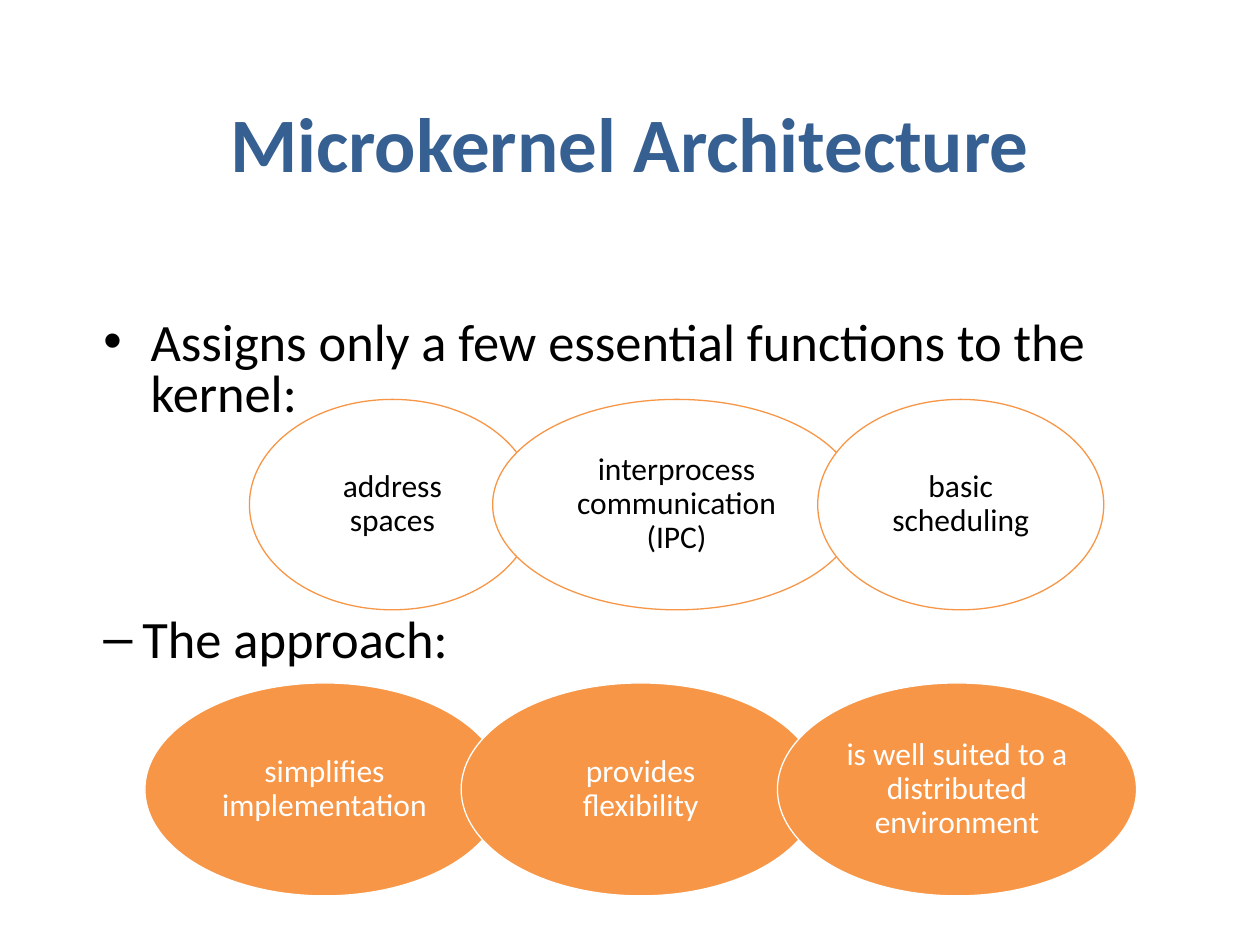
from pptx import Presentation
from pptx.dml.color import RGBColor
from pptx.enum.shapes import MSO_SHAPE
from pptx.enum.text import MSO_ANCHOR, MSO_AUTO_SIZE, PP_ALIGN
from pptx.util import Inches, Pt

COLORS = {"title": "376092", "text": "000000", "accent": "F79646", "white": "FFFFFF"}
FONT = "Calibri"
OVERLAP = 0.34

FUNCTIONS = [("address spaces", 2.27), ("interprocess communication (IPC)", 2.92),
             ("basic scheduling", 2.27)]
BENEFITS = [("simplifies implementation", 2.85), ("provides flexibility", 2.85),
            ("is well suited to a distributed environment", 2.85)]


def rgb(color):
    return RGBColor.from_string(COLORS[color])


def apply_format(target, values):
    for attribute, value in values.items():
        setattr(target, attribute, value)


def place(element, left, top, width, height):
    apply_format(element, {"left": Inches(left), "top": Inches(top),
                           "width": Inches(width), "height": Inches(height)})


def write(paragraph, text, size, color, bold=False, **layout):
    run = paragraph.add_run()
    run.text = text
    apply_format(run.font, {"name": FONT, "size": Pt(size), "bold": bold})
    run.font.color.rgb = rgb(color)
    apply_format(paragraph, layout)


def fill_title(heading):
    place(heading, 0.72, 0.5, 8.56, 1.25)
    apply_format(heading.text_frame, {"auto_size": MSO_AUTO_SIZE.NONE,
                                      "vertical_anchor": MSO_ANCHOR.MIDDLE})
    write(heading.text_frame.paragraphs[0], "Microkernel Architecture", 44, "title",
          bold=True, alignment=PP_ALIGN.CENTER)


def fill_body(body):
    place(body, 0.72, 2.5, 8.58, 4.33)
    frame = body.text_frame
    frame.auto_size = MSO_AUTO_SIZE.NONE
    write(frame.paragraphs[0], "Assigns only a few essential functions to the kernel:",
          30, "text", line_spacing=0.8, space_before=Pt(0))
    approach = frame.add_paragraph()
    write(approach, "The approach:", 30, "text", level=1,
          line_spacing=0.8, space_before=Pt(112))
    indent = Inches(0.31)
    properties = approach._p.get_or_add_pPr()
    properties.set("marL", str(indent))
    properties.set("indent", str(-indent))


def add_ellipse_row(slide, entries, left, top, height, fill, line, text_color):
    for label, width in entries:
        ellipse = slide.shapes.add_shape(MSO_SHAPE.OVAL, Inches(left), Inches(top),
                                         Inches(width), Inches(height))
        ellipse.shadow.inherit = False
        ellipse.fill.solid()
        ellipse.fill.fore_color.rgb = rgb(fill)
        ellipse.line.color.rgb = rgb(line)
        ellipse.line.width = Pt(0.75)
        apply_format(ellipse.text_frame, {
            "word_wrap": True, "vertical_anchor": MSO_ANCHOR.MIDDLE,
            "margin_left": Inches(0.09), "margin_right": Inches(0.09),
            "margin_top": Inches(0.03), "margin_bottom": Inches(0.03)})
        write(ellipse.text_frame.paragraphs[0], label, 18, text_color,
              alignment=PP_ALIGN.CENTER, line_spacing=0.9)
        left += width - OVERLAP


def main():
    presentation = Presentation()
    apply_format(presentation, {"slide_width": Inches(10), "slide_height": Inches(7.5)})
    slide = presentation.slides.add_slide(presentation.slide_layouts[1])
    fill_title(slide.shapes.title)
    fill_body(slide.placeholders[1])
    add_ellipse_row(slide, FUNCTIONS, 1.98, 3.17, 1.67, "white", "accent", "text")
    add_ellipse_row(slide, BENEFITS, 1.15, 5.42, 1.69, "accent", "white", "white")
    presentation.save("out.pptx")


if __name__ == "__main__":
    main()
